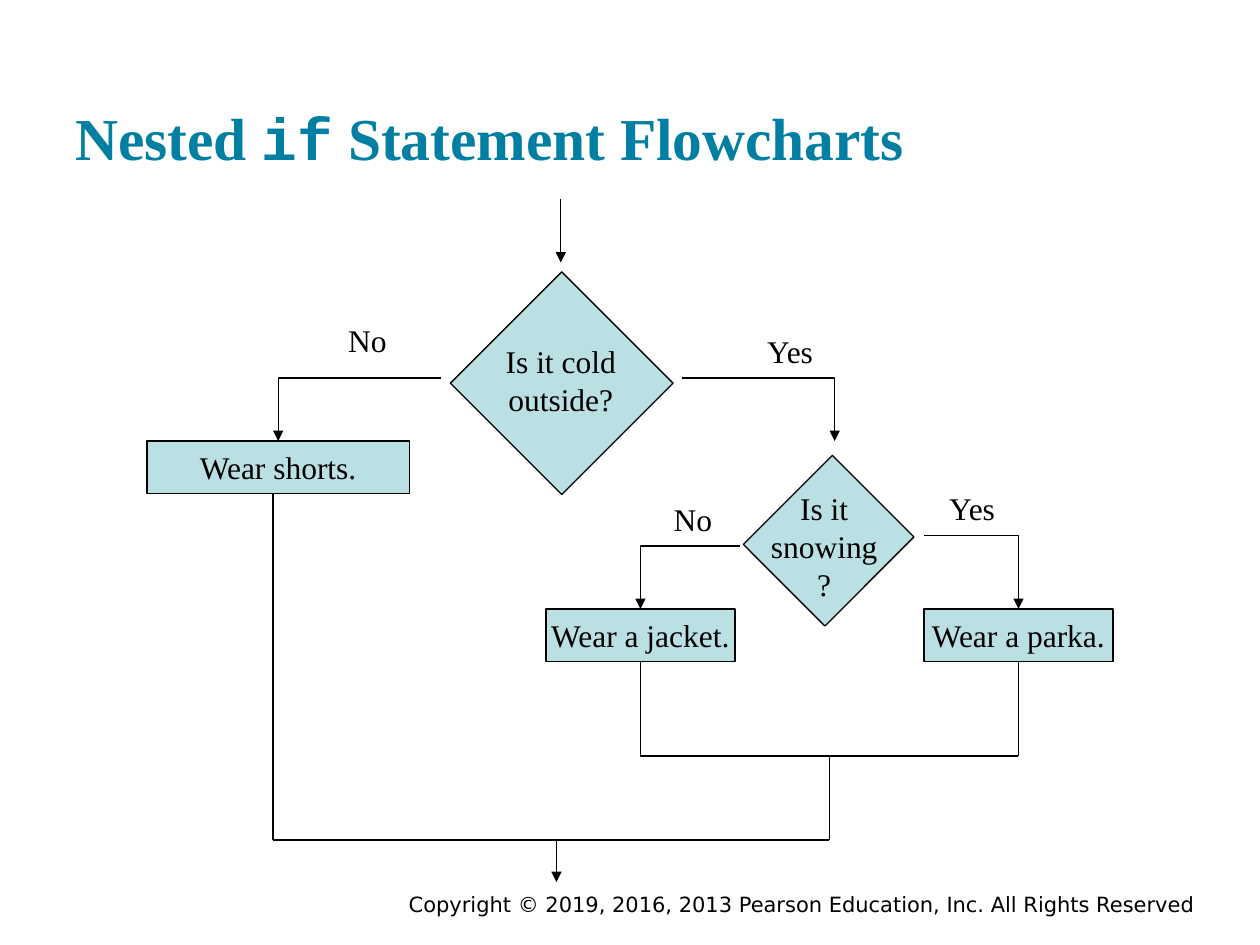
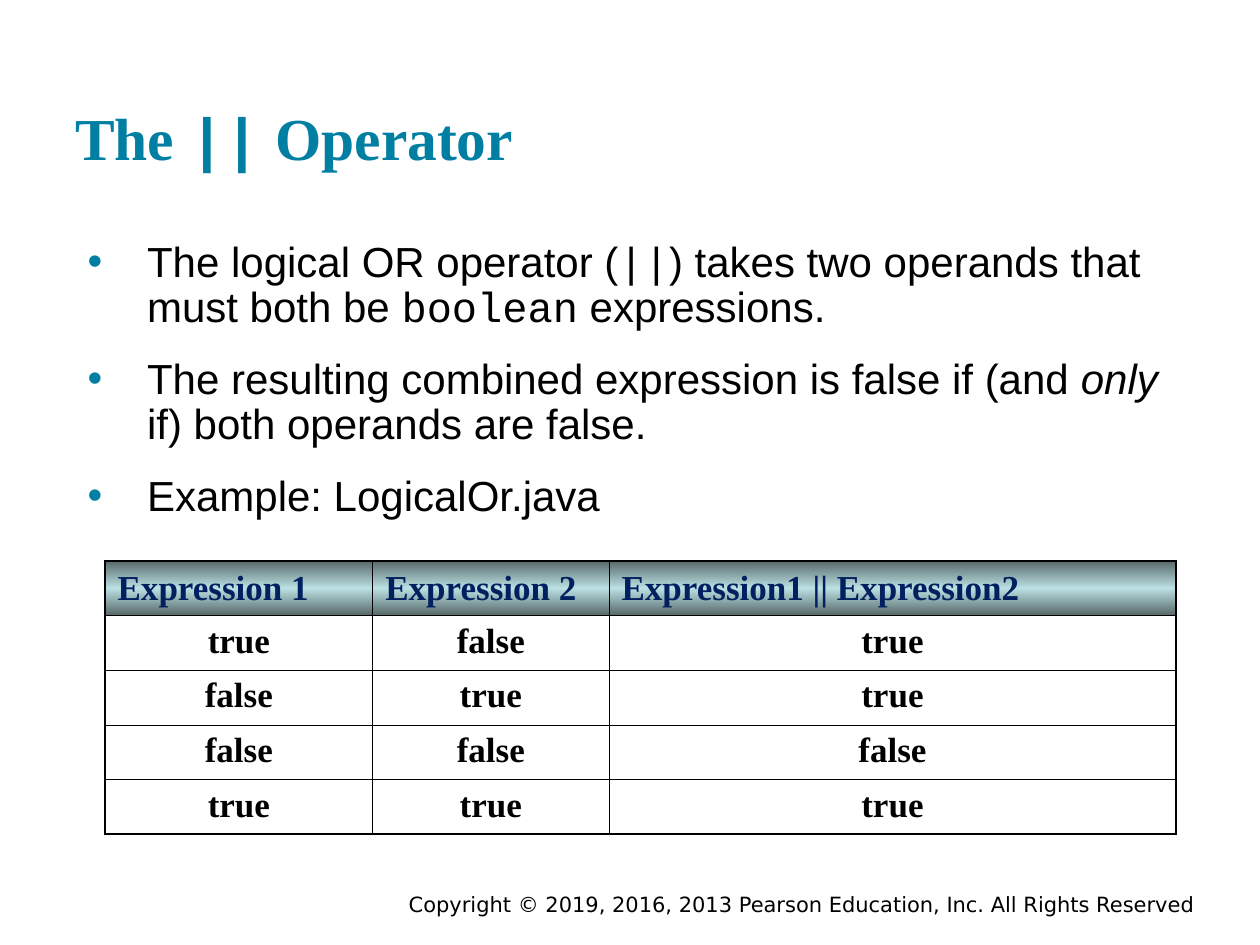
from lxml import etree
from pptx import Presentation
from pptx.dml.color import RGBColor
from pptx.enum.shapes import MSO_CONNECTOR, MSO_SHAPE
from pptx.enum.text import MSO_ANCHOR, PP_ALIGN
from pptx.oxml.ns import qn
from pptx.util import Pt

TEAL = RGBColor(0x00, 0x7F, 0xA3)
PALE = RGBColor(0xBB, 0xE0, 0xE3)
SLATE = RGBColor(0x57, 0x68, 0x69)
NAVY = RGBColor(0x00, 0x20, 0x60)
BLACK = RGBColor(0, 0, 0)

SERIF, SANS, MONO = "Times New Roman", "Arial", "Courier New"
FOOT = "DejaVu Sans"
LEFT, CENTER, RIGHT = PP_ALIGN.LEFT, PP_ALIGN.CENTER, PP_ALIGN.RIGHT
TOP, MIDDLE, BOTTOM = MSO_ANCHOR.TOP, MSO_ANCHOR.MIDDLE, MSO_ANCHOR.BOTTOM
RECT = MSO_SHAPE.RECTANGLE
STRAIGHT, ELBOW = MSO_CONNECTOR.STRAIGHT, MSO_CONNECTOR.ELBOW

NOTICE = "Copyright © 2019, 2016, 2013 Pearson Education, Inc. All Rights Reserved"
POINTS = [
    [("The logical OR operator (", ""), ("||", "code"),
     (") takes two operands that must both be ", ""),
     ("boolean", "code"), (" expressions.", "")],
    [("The resulting combined expression is false if (and ", ""),
     ("only", "italic"), (" if) both operands are false.", "")],
    [("Example: LogicalOr.java", "")],
]
TRUTH = [
    ["Expression 1", "Expression 2", "Expression1 || Expression2"],
    ["true", "false", "true"],
    ["false", "true", "true"],
    ["false", "false", "false"],
    ["true", "true", "true"],
]


def add_sub(parent, tag, **attrs):
    return etree.SubElement(parent, qn(tag), attrs)


def add_color(parent, color):
    add_sub(parent, "a:srgbClr", val=str(color))


def style(font, name, size, color, bold=False):
    font.name, font.size, font.bold = name, Pt(size), bold
    font.color.rgb = color


def add_runs(para, parts, name, size, color, bold=False):
    for text, kind in parts:
        run = para.add_run()
        run.text = text
        style(run.font, MONO if kind == "code" else name, size, color, bold)
        if kind == "italic":
            run.font.italic = True


def add_box(slide, left, top, width, height, inset=3.6, anchor=TOP, wrap=True):
    box = slide.shapes.add_textbox(Pt(left), Pt(top), Pt(width), Pt(height))
    frame = box.text_frame
    frame.word_wrap = wrap
    frame.vertical_anchor = anchor
    frame.margin_left = frame.margin_right = Pt(7.2)
    frame.margin_top = frame.margin_bottom = Pt(inset)
    return frame


def fill_text(frame, text):
    frame.text = text
    for para in frame.paragraphs:
        para.alignment = CENTER
        style(para.font, SERIF, 18, BLACK)


def add_label(slide, mid, top, text, height=28.8):
    frame = add_box(slide, mid - 40, top, 80, height, wrap=False)
    fill_text(frame, text)


def add_block(slide, left, top, width, height, text=""):
    shape = slide.shapes.add_shape(RECT, Pt(left), Pt(top), Pt(width), Pt(height))
    shape.shadow.inherit = False
    shape.fill.solid()
    shape.fill.fore_color.rgb = PALE
    shape.line.color.rgb = BLACK
    shape.line.width = Pt(0.75)
    if text:
        frame = shape.text_frame
        frame.word_wrap = False
        frame.vertical_anchor = MIDDLE
        fill_text(frame, text)
    return shape


def add_choice(slide, left, top, width, height):
    add_block(slide, left, top, width, height).rotation = 45


def add_line(slide, start, end, arrow=False, bent=False):
    ends = [Pt(value) for value in (*start, *end)]
    line = slide.shapes.add_connector(ELBOW if bent else STRAIGHT, *ends)
    line.line.color.rgb = BLACK
    line.line.width = Pt(0.75)
    props = line._element.spPr
    if bent:
        props.find(qn("a:prstGeom")).set("prst", "bentConnector2")
    if arrow:
        add_sub(props.find(qn("a:ln")), "a:tailEnd", type="triangle")
    add_sub(props, "a:effectLst")


def add_slide(deck, title):
    slide = deck.slides.add_slide(deck.slide_layouts[6])
    foot = add_box(slide, 126, 506, 564, 16).paragraphs[0]
    foot.alignment = RIGHT
    add_runs(foot, [(NOTICE, "")], FOOT, 12, BLACK)
    head = add_box(slide, 36, 19.5, 648, 86.5, 7.2, BOTTOM)
    add_runs(head.paragraphs[0], title, SERIF, 34, TEAL, True)
    return slide


def add_bullets(slide, items):
    frame = add_box(slide, 36, 130.5, 648, 356, 7.2)
    for index, parts in enumerate(items):
        para = frame.add_paragraph() if index else frame.paragraphs[0]
        props = para._p.get_or_add_pPr()
        props.set("marL", str(Pt(41)))
        props.set("indent", str(Pt(-34)))
        add_color(add_sub(props, "a:buClr"), TEAL)
        add_sub(props, "a:buFont", typeface=SANS)
        add_sub(props, "a:buChar", char="•")
        para.line_spacing = 0.9
        para.space_before = Pt(15 if index else 0)
        add_runs(para, parts, SANS, 24, BLACK)


def add_edges(cell, outer):
    props = cell._tc.get_or_add_tcPr()
    for side in "LRTB":
        width = Pt(1.08 if side in outer else 0.45)
        edge = add_sub(props, f"a:ln{side}", w=str(width))
        add_color(add_sub(edge, "a:solidFill"), BLACK)


def shade(cell):
    grad = add_sub(cell._tc.get_or_add_tcPr(), "a:gradFill", rotWithShape="1")
    stops = add_sub(grad, "a:gsLst")
    for pos, color in ((0, SLATE), (50, PALE), (100, SLATE)):
        add_color(add_sub(stops, "a:gs", pos=str(pos * 1000)), color)
    add_sub(grad, "a:lin", ang="5400000", scaled="1")


def add_grid(slide, rows, left, top, widths, height):
    last, end = len(rows) - 1, len(widths) - 1
    table = slide.shapes.add_table(
        len(rows), len(widths), Pt(left), Pt(top),
        Pt(sum(widths)), Pt(height * len(rows))).table
    table.first_row = table.horz_banding = False
    for col, width in zip(table.columns, widths):
        col.width = Pt(width)
    for r, row in enumerate(rows):
        table.rows[r].height = Pt(height)
        for c, text in enumerate(row):
            cell = table.cell(r, c)
            outer = "L" * (c == 0) + "R" * (c == end)
            outer += "T" * (r == 0) + "B" * (r == last)
            add_edges(cell, outer)
            cell.text = text
            para = cell.text_frame.paragraphs[0]
            if r == 0:
                shade(cell)
                cell.vertical_anchor = MIDDLE
            else:
                cell.fill.background()
            para.alignment = CENTER if r else LEFT
            style(para.runs[0].font, SERIF, 20, BLACK if r else NAVY, True)


def draw_flow(slide):
    add_choice(slide, 276, 174, 90, 90)
    add_choice(slide, 440.5, 273, 66, 72)
    add_label(slide, 320.5, 192, "Is it cold\noutside?", 50.4)
    add_label(slide, 471, 276, "Is it\nsnowing?", 50.4)

    add_block(slide, 84, 252, 150, 30, "Wear shorts.")
    add_block(slide, 312, 348, 108, 30, "Wear a jacket.")
    add_block(slide, 528, 348, 108, 30, "Wear a parka.")

    for mid, top, text in ((210, 180, "No"), (451.5, 186, "Yes"),
                           (396, 282, "No"), (555.5, 276, "Yes")):
        add_label(slide, mid, top, text)

    for start, end in (((252, 216), (159, 252)), ((390, 216), (477, 252)),
                       ((423, 312), (366, 348)), ((528, 306), (582, 348))):
        add_line(slide, start, end, arrow=True, bent=True)

    shorts, jacket, parka = 156, 366, 582
    inner = (jacket + parka) / 2
    for start, end in (((shorts, 282), (shorts, 480)),
                       ((jacket, 378), (jacket, 432)),
                       ((parka, 378), (parka, 432)),
                       ((jacket, 432), (parka, 432)),
                       ((inner, 432), (inner, 480)),
                       ((shorts, 480), (inner, 480))):
        add_line(slide, start, end)
    add_line(slide, (320.5, 114), (320.5, 150), arrow=True)
    add_line(slide, (318, 480), (318, 504), arrow=True)


def main():
    deck = Presentation()
    deck.slide_width, deck.slide_height = Pt(720), Pt(540)
    draw_flow(add_slide(deck, [("Nested ", ""), ("if", "code"),
                               (" Statement Flowcharts", "")]))
    slide = add_slide(deck, [("The ", ""), ("||", "code"), (" Operator", "")])
    add_bullets(slide, POINTS)
    add_grid(slide, TRUTH, 60, 320.5, [153, 135, 324], 31.25)
    deck.save("out.pptx")


if __name__ == "__main__":
    main()
